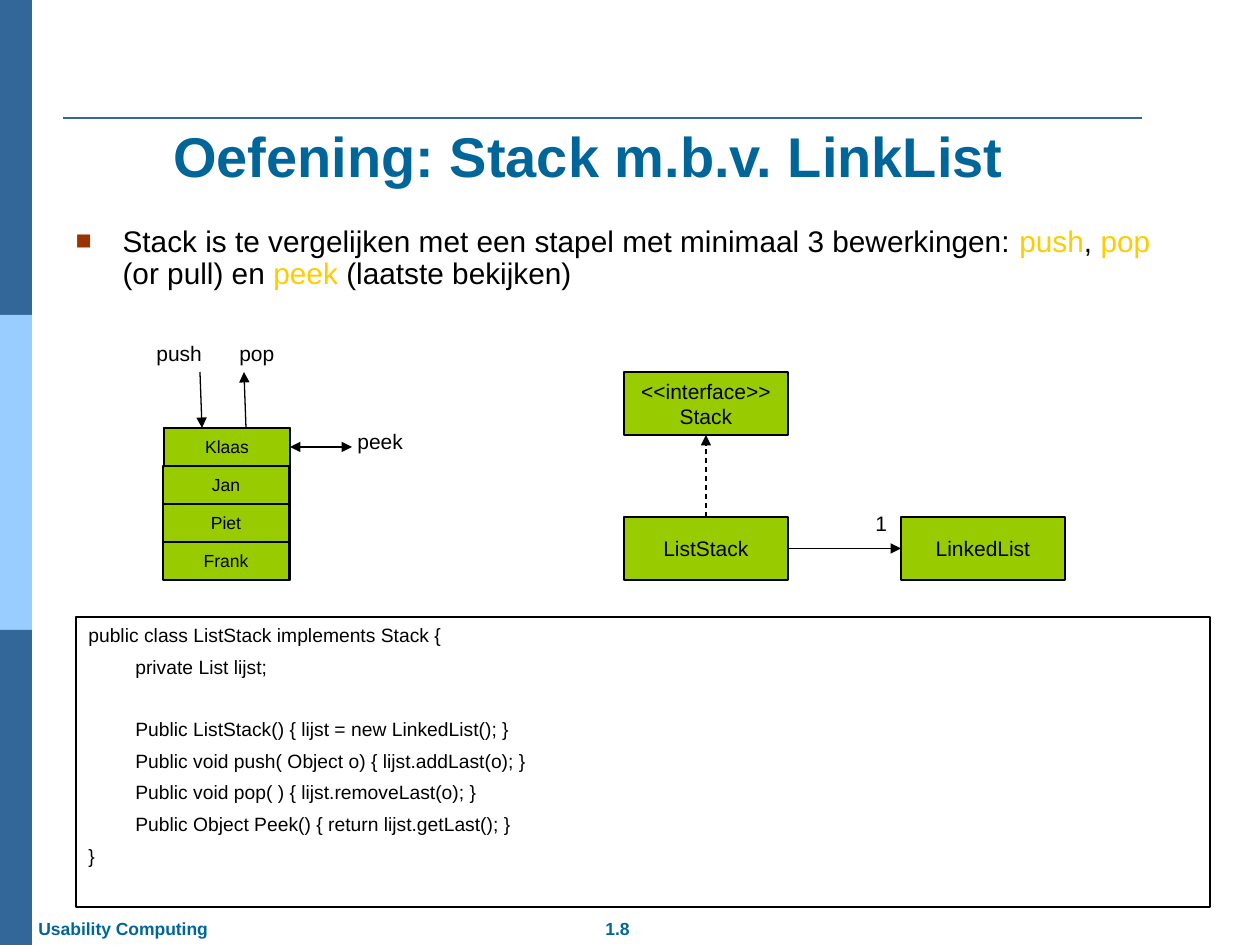
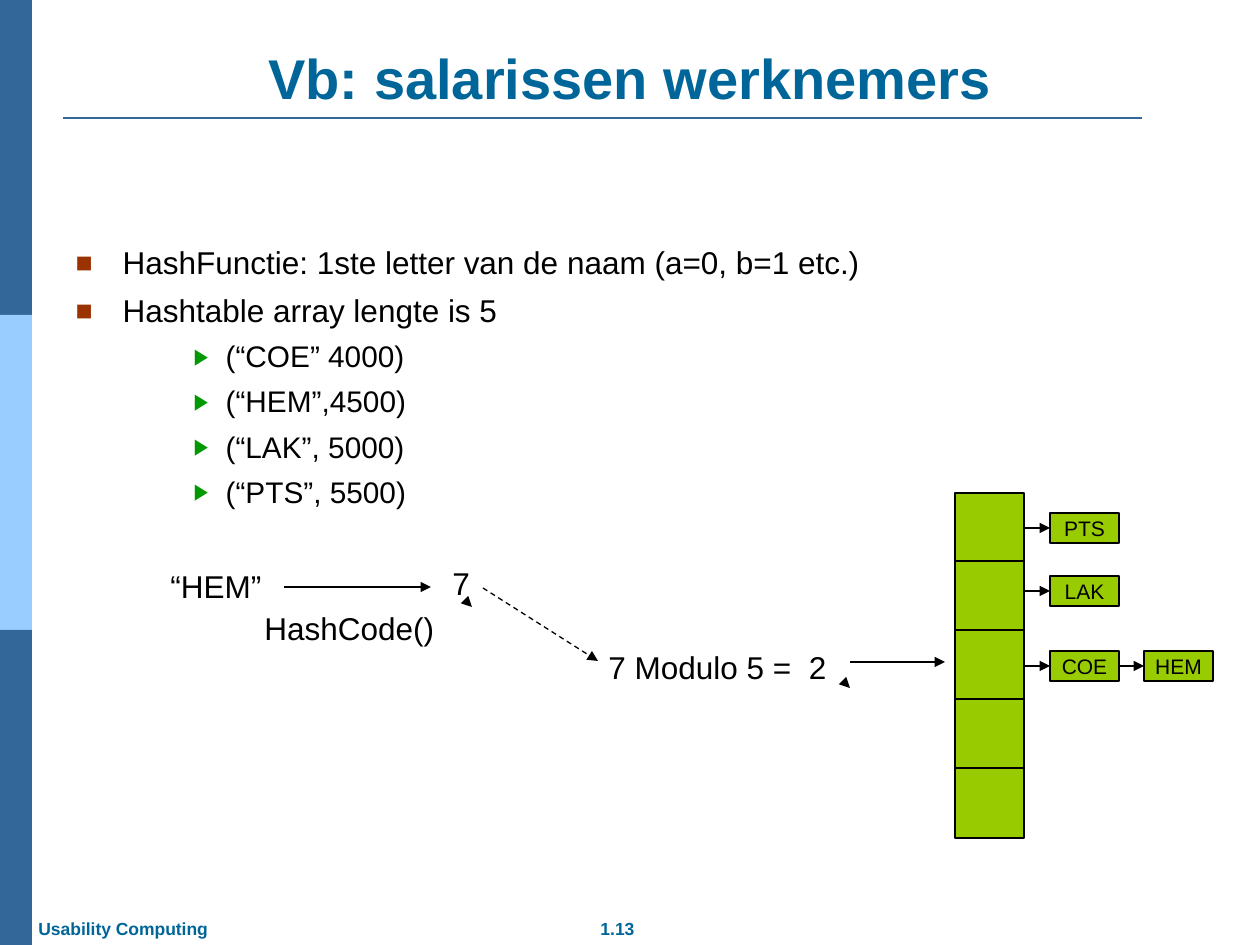
from lxml import etree
from pptx import Presentation
from pptx.dml.color import RGBColor
from pptx.enum.dml import MSO_LINE
from pptx.enum.shapes import MSO_CONNECTOR, MSO_SHAPE
from pptx.enum.text import MSO_ANCHOR, MSO_AUTO_SIZE, PP_ALIGN
from pptx.oxml.ns import qn
from pptx.util import Pt

PX = 914400 / 126
FONT = "Arial"
RECT, STRAIGHT, DASH = MSO_SHAPE.RECTANGLE, MSO_CONNECTOR.STRAIGHT, MSO_LINE.DASH
LEFT, CENTER = PP_ALIGN.LEFT, PP_ALIGN.CENTER
TOP, MIDDLE, BOTTOM = MSO_ANCHOR.TOP, MSO_ANCHOR.MIDDLE, MSO_ANCHOR.BOTTOM
SIDE_TOP, SIDE_LEFT, SIDE_BOTTOM, SIDE_RIGHT = range(4)
COLORS = {name: RGBColor.from_string(value) for name, value in {
    "band": "336699", "light": "99CCFF", "title": "006699", "text": "000000",
    "key": "FFCC00", "box": "99CC00", "square": "993300", "arrow": "009900",
}.items()}


def box(slide, rect, text="", size=12, fill=None, line="text", color="text",
        bold=False, align=None, wrap=False):
    """Filled rectangle, or a plain text box when there is no fill."""
    pos = [round(v * PX) for v in rect]
    if fill:
        sp = slide.shapes.add_shape(RECT, *pos)
        sp.shadow.inherit = False
        sp.fill.solid()
        sp.fill.fore_color.rgb = COLORS[fill]
        if line:
            sp.line.color.rgb = COLORS[line]
            sp.line.width = Pt(0.75)
        else:
            sp.line.fill.background()
    else:
        sp = slide.shapes.add_textbox(*pos)
    tf = sp.text_frame
    tf.word_wrap = wrap
    tf.vertical_anchor = MIDDLE if fill else TOP
    tf.text = text
    for p in tf.paragraphs:
        p.alignment = align or (CENTER if fill else LEFT)
        for r in p.runs:
            r.font.name, r.font.size, r.font.bold = FONT, Pt(size), bold
            r.font.color.rgb = COLORS[color]
    return sp


def connect(slide, points, begin=None, end=None, ends=("tailEnd",), dash=False,
            color="text", width=0.75):
    """Straight line; begin and end are (shape, side) pairs to join."""
    cn = slide.shapes.add_connector(STRAIGHT, *[round(v * PX) for v in points])
    if begin:
        cn.begin_connect(*begin)
    if end:
        cn.end_connect(*end)
    cn.line.color.rgb = COLORS[color]
    cn.line.width = Pt(width)
    if dash:
        cn.line.dash_style = DASH
    ln = cn.line._get_or_add_ln()
    for tag in ends:
        etree.SubElement(ln, qn("a:" + tag), type="triangle")
    etree.SubElement(cn._element.spPr, qn("a:effectLst"))


prs = Presentation()
prs.slide_width, prs.slide_height = round(1260 * PX), round(945 * PX)

# Bullet styles: left margin, hang, character, colour, size %, text size, space before
BULLETS = {
    0: (47, 47, "■", "square", 90, 18, 7.9),
    2: (150, 32, "▶", "arrow", 75, 17, 7.4),
}
PAGES = [
    {"number": "1.8", "title": "Oefening: Stack m.b.v. LinkList",
     "title_at": (53, 16, 1071, 179), "body_at": (63, 220, 1134, 113), "size": 17,
     "body": [(0, [("Stack is te vergelijken met een stapel met minimaal 3 bewerkingen: ", "text"),
                   ("push", "key"), (", ", "text"), ("pop", "key"),
                   (" (or pull) en ", "text"), ("peek", "key"),
                   (" (laatste bekijken)", "text")])]},
    {"number": "1.13", "title": "Vb: salarissen werknemers",
     "title_at": (63, 38, 1134, 79), "body_at": (63, 241, 1134, 661), "size": 18,
     "body": [(level, [(text, "text")]) for level, text in [
         (0, "HashFunctie: 1ste letter van de naam (a=0, b=1 etc.)"),
         (0, "Hashtable array lengte is 5"),
         (2, "(“COE” 4000)"), (2, "(“HEM”,4500)"),
         (2, "(“LAK”, 5000)"), (2, "(“PTS”, 5500)")]]},
]

# Shared frame, title and list of each slide
slides = []
for page in PAGES:
    s = prs.slides.add_slide(prs.slide_layouts[1])
    slides.append(s)
    for i, band in enumerate(("band", "light", "band")):
        box(s, (0, 315 * i, 32, 315), fill=band, line=None)
    connect(s, (63, 118, 1142, 118), ends=(), color="band", width=1.5)
    box(s, (556, 912, 123, 33), page["number"], 10, color="title", bold=True,
        align=CENTER, wrap=True)
    box(s, (26, 912, 210, 33), "Usability Computing", 10, color="title", bold=True, wrap=True)

    title, body = s.shapes.title, s.placeholders[1]
    for sp, at, anchor in ((title, page["title_at"], BOTTOM), (body, page["body_at"], TOP)):
        sp.left, sp.top, sp.width, sp.height = [round(v * PX) for v in at]
        tf = sp.text_frame
        tf.auto_size, tf.word_wrap, tf.vertical_anchor = MSO_AUTO_SIZE.NONE, True, anchor
    title.text_frame.text = page["title"]
    p = title.text_frame.paragraphs[0]
    p.alignment = CENTER
    font = p.runs[0].font
    font.name, font.size, font.bold = FONT, Pt(32), True
    font.color.rgb = COLORS["title"]

    for i, (level, parts) in enumerate(page["body"]):
        margin, hang, char, bullet_color, percent, size, space = BULLETS[level]
        p = body.text_frame.paragraphs[0] if i == 0 else body.text_frame.add_paragraph()
        p.level = level
        pPr = p._p.get_or_add_pPr()
        pPr.set("marL", str(round(margin * PX)))
        pPr.set("indent", str(round(-hang * PX)))
        clr = etree.SubElement(pPr, qn("a:buClr"))
        etree.SubElement(clr, qn("a:srgbClr"), val=str(COLORS[bullet_color]))
        etree.SubElement(pPr, qn("a:buSzPct"), val=str(percent * 1000))
        etree.SubElement(pPr, qn("a:buFont"), typeface=FONT)
        etree.SubElement(pPr, qn("a:buChar"), char=char)
        p.line_spacing = 0.9
        p.space_before = Pt(space if i else 0)
        for text, color in parts:
            r = p.add_run()
            r.text = text
            r.font.name, r.font.size = FONT, Pt(min(size, page["size"]))
            r.font.color.rgb = COLORS[color]

# Slide 1: the stack of names
s = slides[0]
box(s, (164, 428, 126, 152), fill="box")
names = [box(s, (163 if i else 164, 428 + 38 * i, 126, 38), name, 10, fill="box")
         for i, name in enumerate(("Klaas", "Jan", "Piet", "Frank"))]
connect(s, (200, 372, 202, 428))
connect(s, (246, 428, 244, 372))
connect(s, (290, 447, 352, 447), begin=(names[0], SIDE_RIGHT), ends=("headEnd", "tailEnd"))
for text, x, y, w in (("push", 144, 334, 71), ("pop", 227, 334, 60),
                      ("peek", 345, 422, 71), ("1", 863, 504, 37)):
    box(s, (x, y, w, 38), text)

# Slide 1: class diagram
interface, list_stack, linked_list = [
    box(s, (x, y, 164, 63), text, fill="box") for text, x, y in (
        ("<<interface>>\nStack", 624, 372), ("ListStack", 624, 517), ("LinkedList", 901, 517))]
connect(s, (706, 517, 706, 435), (list_stack, SIDE_TOP), (interface, SIDE_BOTTOM), dash=True)
connect(s, (788, 548, 901, 548), (list_stack, SIDE_RIGHT), (linked_list, SIDE_LEFT))

# Slide 1: code
CODE = [
    "public class ListStack implements Stack {",
    "\tprivate List lijst;",
    "\tPublic ListStack() { lijst = new LinkedList(); }",
    "\tPublic void push( Object o) { lijst.addLast(o); }",
    "\tPublic void pop( ) { lijst.removeLast(o); }",
    "\tPublic Object Peek() { return lijst.getLast(); }",
    "}",
]
code = box(s, (76, 617, 1134, 290), "\n".join(CODE), 11, wrap=True)
code.line.color.rgb = COLORS["text"]
code.line.width = Pt(0.75)
for i, p in enumerate(code.text_frame.paragraphs):
    pPr = p._p.get_or_add_pPr()
    pPr.set("marL", str(round(47 * PX)))
    pPr.set("indent", str(round(-47 * PX)))
    p.space_before = Pt({0: 0, 2: 22.4}.get(i, 4.9))

# Slide 2: hash table with its chains
s = slides[1]
cells = [box(s, (955, 493 + 275 * i // 4, 69, 70), fill="box") for i in range(5)]
nodes = {name: box(s, (x, y, 69, 30), name, fill="box") for name, x, y in (
    ("PTS", 1050, 513), ("LAK", 1050, 576), ("COE", 1050, 651), ("HEM", 1144, 651))}
for name, x, y, source in (("PTS", 1024, 528, cells[0]), ("LAK", 1024, 591, None),
                           ("COE", 1024, 666, None), ("HEM", 1119, 666, nodes["COE"])):
    connect(s, (x, y, x + 25, y), (source, SIDE_RIGHT) if source else None,
            (nodes[name], SIDE_LEFT))

# Slide 2: from name to table index
for text, x, y, w in (("“HEM”", 158, 561, 116), ("HashCode()", 252, 603, 195),
                      ("7", 440, 558, 43), ("7 Modulo 5 =  2", 596, 642, 243)):
    box(s, (x, y, w, 50), text, 18)
for points in ((284, 587, 431, 587), (850, 662, 945, 662),
               (471, 606, 472, 607), (849, 687, 850, 688)):
    connect(s, points)
connect(s, (483, 588, 598, 661), dash=True)

prs.save("out.pptx")
